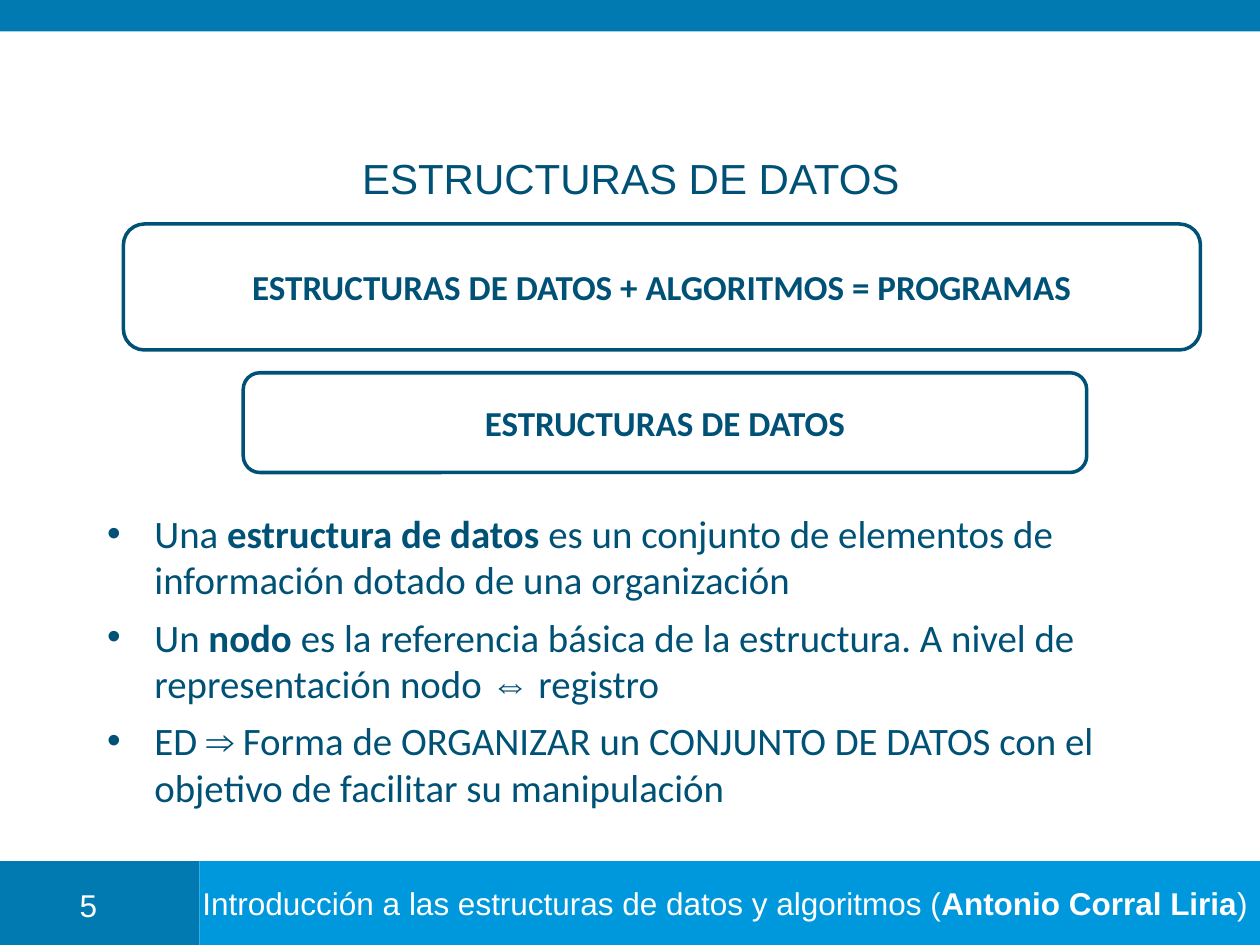
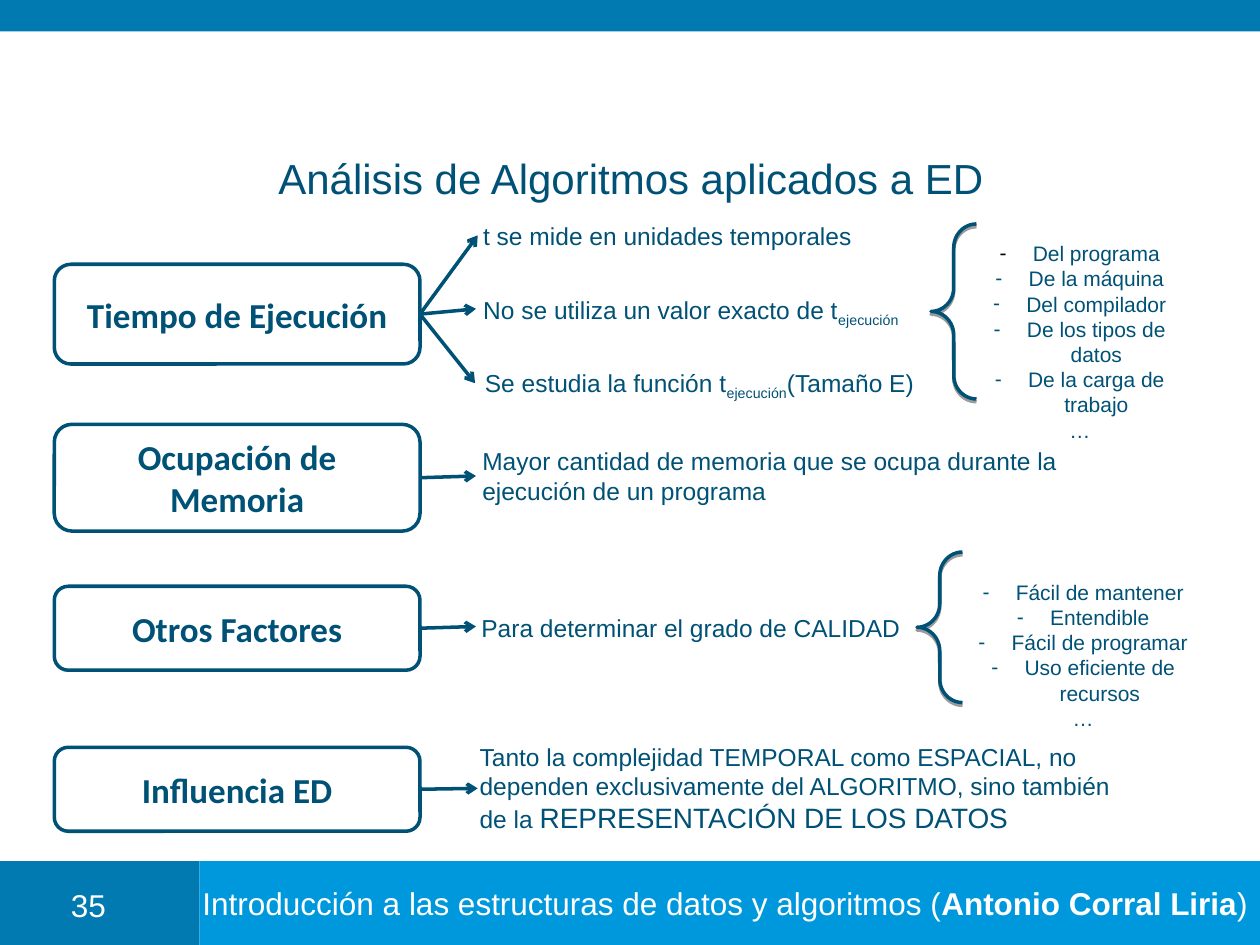
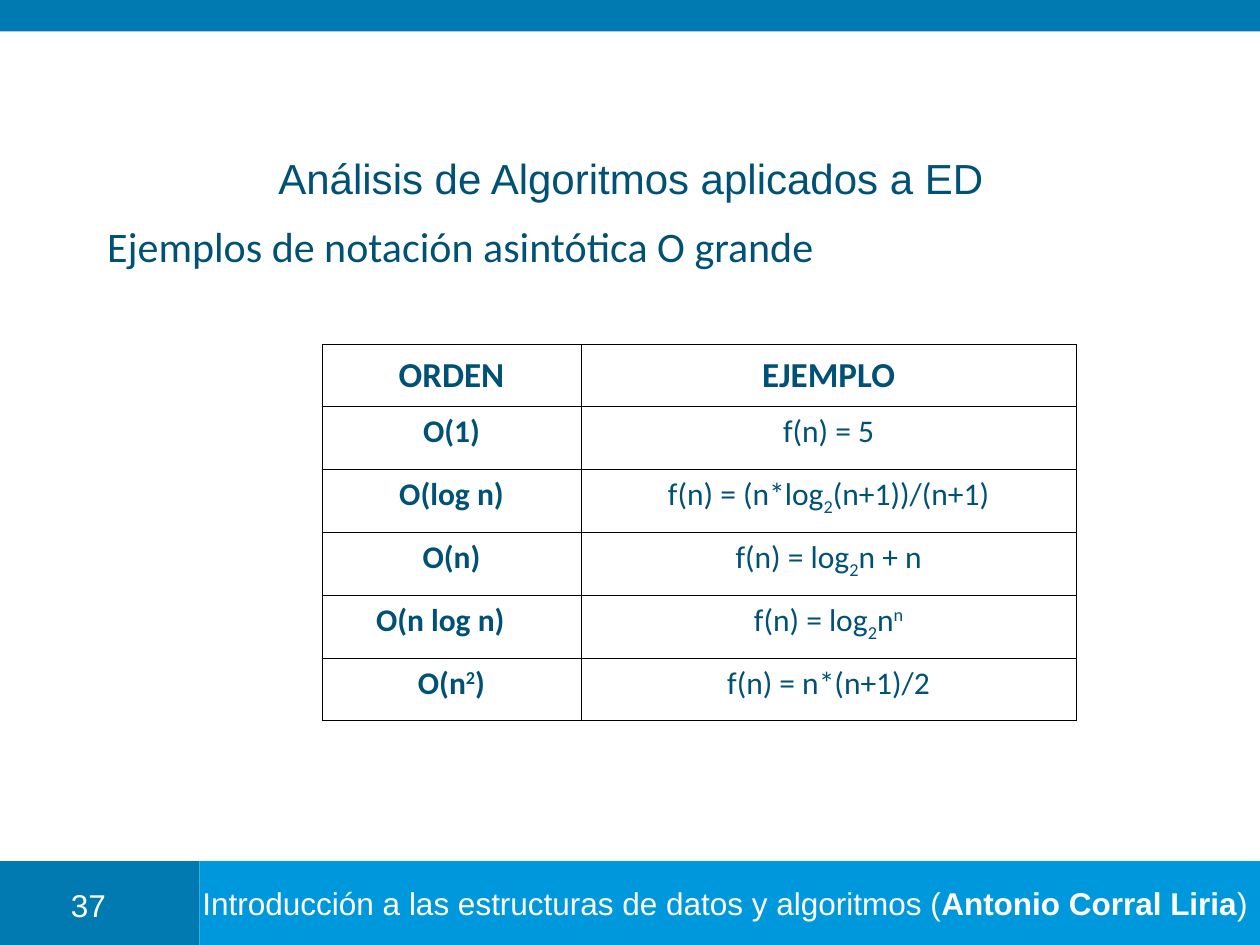
from dataclasses import dataclass

import lxml.etree
import pptx
import pptx.dml.color
import pptx.enum.shapes
import pptx.enum.text
import pptx.oxml.ns
import pptx.util

Pt = pptx.util.Pt
RGBColor = pptx.dml.color.RGBColor
Shape = pptx.enum.shapes.MSO_SHAPE
Align = pptx.enum.text.PP_ALIGN
Anchor = pptx.enum.text.MSO_ANCHOR
qn = pptx.oxml.ns.qn


@dataclass(frozen=True)
class Theme:
    ink: RGBColor = RGBColor(0x00, 0x51, 0x76)
    band: RGBColor = RGBColor(0x00, 0x7A, 0xB1)
    footer: RGBColor = RGBColor(0x00, 0x98, 0xDC)
    white: RGBColor = RGBColor(0xFF, 0xFF, 0xFF)
    black: RGBColor = RGBColor(0, 0, 0)
    heading_font: str = "Arial"
    body_font: str = "Calibri"
    title_size: float = 24
    list_size: float = 22.2
    box_size: float = 20
    footer_size: float = 18
    emphasis_size: float = 16
    note_size: float = 14
    factor_size: float = 12
    line_width: float = 2
    border_width: float = 0.45


THEME = Theme()
WIDTH, HEIGHT = 720, 540
TITLE_BOX = (60, 86.5, 601, 30)
BODY_LEFT, BODY_WIDTH = 54, 646.5
FOOTER_TOP = 492
BOLD = {"bold": True}
SUB = {"baseline": -25}
SUPER = {"baseline": 30}
SYMBOL = {"font": THEME.heading_font}


def add_element(parent, tag, **attributes):
    element = lxml.etree.SubElement(parent, qn(tag))
    for name, value in attributes.items():
        element.set(name, str(value))
    return element


def set_bullet(paragraph, symbol, indent, color):
    properties = paragraph._p.get_or_add_pPr()
    properties.set("marL", str(Pt(indent)))
    properties.set("indent", str(-Pt(indent)))
    if symbol:
        add_element(add_element(properties, "a:buClr"), "a:srgbClr", val=color)
        add_element(properties, "a:buFont", typeface=THEME.heading_font)
        add_element(properties, "a:buChar", char=symbol)
    else:
        add_element(properties, "a:buNone")


def add_run(paragraph, text, font, size, color, bold, baseline=0):
    run = paragraph.add_run()
    run.text = text
    run.font.name = font
    run.font.size = Pt(size)
    run.font.bold = bold
    run.font.color.rgb = color
    if baseline:
        run.font._element.set("baseline", str(baseline * 1000))


def write_text(frame, paragraphs, font=THEME.heading_font, size=THEME.note_size,
               color=THEME.ink, bold=False, align=Align.LEFT, anchor=Anchor.TOP,
               wrap=True, bullet=None, indent=0, gap=0, first_bullet_color=None):
    """Write paragraphs; each is a string or a list of strings and (string, format) runs."""
    frame.word_wrap = wrap
    frame.auto_size = pptx.enum.text.MSO_AUTO_SIZE.NONE
    frame.vertical_anchor = anchor
    base = {"font": font, "size": size, "color": color, "bold": bold}
    for index, runs in enumerate(paragraphs):
        paragraph = frame.add_paragraph() if index else frame.paragraphs[0]
        symbol = None if runs == "…" else bullet
        bullet_color = first_bullet_color if first_bullet_color and not index else color
        set_bullet(paragraph, symbol, indent if symbol else 0, bullet_color)
        paragraph.alignment = align
        paragraph.space_before = Pt(gap if index else 0)
        for run in [runs] if isinstance(runs, str) else runs:
            text, changes = (run, {}) if isinstance(run, str) else run
            add_run(paragraph, text, **{**base, **changes})


def place(shape, box):
    shape.left, shape.top, shape.width, shape.height = map(Pt, box)


def add_plain_shape(slide, kind, box, fill=None, line=None):
    shape = slide.shapes.add_shape(kind, *map(Pt, box))
    shape.shadow.inherit = False
    if fill is None:
        shape.fill.background()
    else:
        shape.fill.solid()
        shape.fill.fore_color.rgb = fill
    if line is None:
        shape.line.fill.background()
    else:
        shape.line.color.rgb = line
        shape.line.width = Pt(THEME.line_width)
    return shape


def add_text_box(slide, box, paragraphs, **text_format):
    text_box = slide.shapes.add_textbox(*map(Pt, box))
    write_text(text_box.text_frame, paragraphs, **text_format)


def add_round_box(slide, box, text):
    shape = add_plain_shape(slide, Shape.ROUNDED_RECTANGLE, box, line=THEME.ink)
    write_text(shape.text_frame, [text], font=THEME.body_font, size=THEME.box_size,
               bold=True, align=Align.CENTER, anchor=Anchor.MIDDLE)
    return shape


def add_arrow(slide, box_shape, end):
    arrow = slide.shapes.add_connector(
        pptx.enum.shapes.MSO_CONNECTOR.STRAIGHT, 0, 0, *map(Pt, end))
    arrow.begin_connect(box_shape, 3)
    arrow.line.color.rgb = THEME.ink
    arrow.line.width = Pt(THEME.line_width)
    add_element(arrow.line._get_or_add_ln(), "a:tailEnd", type="arrow")
    add_element(arrow._element.spPr, "a:effectLst")


def add_brace(slide, box):
    brace = add_plain_shape(slide, Shape.LEFT_BRACE, box, line=THEME.ink)
    brace.adjustments[0] = 0.52
    effects = brace._element.spPr.find(qn("a:effectLst"))
    shadow = add_element(effects, "a:outerShdw", blurRad=0, dist=Pt(1.6),
                         dir=5400000, rotWithShape=0)
    add_element(add_element(shadow, "a:srgbClr", val=THEME.black), "a:alpha", val=38000)


def add_factor_list(slide, brace_box, list_box, factors, **text_format):
    add_brace(slide, brace_box)
    add_text_box(slide, list_box, factors + ["…"], size=THEME.factor_size,
                 align=Align.CENTER, bullet="-", indent=19, **text_format)


def move_bands_to_master(presentation, slide):
    """Draw the shared bands with a slide's shape tools, then hand them to the master."""
    height = HEIGHT - FOOTER_TOP
    footer = add_plain_shape(slide, Shape.RECTANGLE, (114, FOOTER_TOP, 606, height),
                             THEME.footer)
    write_text(footer.text_frame,
               [["Introducción a las estructuras de datos y algoritmos (",
                 ("Antonio Corral Liria", BOLD), ")"]],
               size=THEME.footer_size, color=THEME.white, align=Align.RIGHT,
               anchor=Anchor.MIDDLE, wrap=False)
    bands = [
        add_plain_shape(slide, Shape.RECTANGLE, (0, FOOTER_TOP, 114, height), THEME.band),
        footer,
        add_plain_shape(slide, Shape.RECTANGLE, (0, 0, WIDTH, 18), THEME.band),
    ]
    for number, band in enumerate(bands, start=101):
        band._element.nvSpPr.cNvPr.set("id", str(number))
        presentation.slide_master.shapes.element.append(band.element)


def start_slide(presentation, layout_name, title, number):
    layout = presentation.slide_layouts.get_by_name(layout_name)
    slide = presentation.slides.add_slide(layout)
    place(slide.shapes.title, TITLE_BOX)
    write_text(slide.shapes.title.text_frame, [title], size=THEME.title_size,
               align=Align.CENTER, anchor=Anchor.MIDDLE)
    add_text_box(slide, (25, FOOTER_TOP + 10.5, 51, 23), [str(number)],
                 size=THEME.footer_size, color=THEME.white, align=Align.CENTER)
    return slide


def fill_body(slide, top, height, paragraphs, **text_format):
    body = slide.placeholders[1]
    place(body, (BODY_LEFT, top, BODY_WIDTH, height))
    write_text(body.text_frame, paragraphs, font=THEME.body_font, **text_format)


def build_definition_slide(presentation):
    slide = start_slide(presentation, "Title and Content", "ESTRUCTURAS DE DATOS", 5)
    fill_body(slide, 287.5, 187, [
        ["Una ", ("estructura de datos", BOLD),
         " es un conjunto de elementos de información dotado de una organización"],
        ["Un ", ("nodo", BOLD),
         " es la referencia básica de la estructura. A nivel de representación nodo ",
         ("⇔", SYMBOL), " registro"],
        ["ED ", ("⇒", SYMBOL), " Forma de ORGANIZAR un CONJUNTO DE DATOS con el "
         "objetivo de facilitar su manipulación"],
    ], size=THEME.list_size, bullet="•", indent=27, gap=6)
    add_round_box(slide, (70.5, 128, 615.5, 72),
                  "ESTRUCTURAS DE DATOS + ALGORITMOS = PROGRAMAS")
    add_round_box(slide, (139, 213, 482, 57), "ESTRUCTURAS DE DATOS")
    return slide


def add_criterion(slide, top, height, name, notes):
    """Add a named box and an arrow to each note: (arrow end, text box, paragraphs)."""
    criterion = add_round_box(slide, (31, top, 209, height), name)
    for arrow_end, box, paragraphs in notes:
        add_arrow(slide, criterion, arrow_end)
        add_text_box(slide, box, paragraphs)


def build_criteria_slide(presentation, title):
    slide = start_slide(presentation, "Title Only", title, 35)
    execution = ("ejecución", SUB)
    add_criterion(slide, 151, 57, "Tiempo de Ejecución", [
        ((273, 134.5), (269, 122.5, 238, 24.5), ["t se mide en unidades temporales"]),
        ((272, 176.5), (269, 165, 264, 26.5),
         [["No se utiliza un valor exacto de t", execution]]),
        ((271.5, 219), (270, 206.5, 269, 26.5),
         [["Se estudia la función t", execution, "(Tamaño E)"]]),
    ])
    add_criterion(slide, 242.5, 61, "Ocupación de Memoria", [
        ((272, 272), (268.5, 251.5, 367, 41),
         ["Mayor cantidad de memoria que se ocupa durante la",
          "ejecución de un programa"]),
    ])
    add_criterion(slide, 335, 48, "Otros Factores", [
        ((272, 358), (268, 346.5, 264, 24.5), ["Para determinar el grado de CALIDAD"]),
    ])
    add_criterion(slide, 427, 48, "Influencia ED", [
        ((273, 450.5), (267, 420.5, 391, 60.5),
         ["Tanto la complejidad TEMPORAL como ESPACIAL, no",
          "dependen exclusivamente del ALGORITMO, sino también",
          ["de la ", ("REPRESENTACIÓN DE LOS DATOS", {"size": THEME.emphasis_size})]]),
    ])
    add_factor_list(slide, (532, 128, 26, 100), (547, 134, 140, 118), [
        "Del programa", "De la máquina", "Del compilador",
        "De los tipos de datos", "De la carga de trabajo",
    ], first_bullet_color=THEME.black)
    add_factor_list(slide, (524, 315.5, 26, 86), (539, 327.5, 160, 92), [
        "Fácil de mantener", "Entendible", "Fácil de programar",
        "Uso eficiente de recursos",
    ])


def set_cell_borders(cell):
    properties = cell._tc.get_or_add_tcPr()
    for position, side in enumerate(("a:lnL", "a:lnR", "a:lnT", "a:lnB")):
        line = properties.makeelement(qn(side), {"w": str(Pt(THEME.border_width))})
        add_element(add_element(line, "a:solidFill"), "a:srgbClr", val=THEME.black)
        properties.insert(position, line)


def add_order_table(slide, left, top, column_widths, row_height, rows):
    table = slide.shapes.add_table(
        len(rows), len(column_widths), Pt(left), Pt(top),
        Pt(sum(column_widths)), Pt(row_height * len(rows))).table
    table.first_row = table.horz_banding = False
    for column, width in zip(table.columns, column_widths):
        column.width = Pt(width)
    for row_index, row in enumerate(rows):
        header = row_index == 0
        for column_index, content in enumerate(row):
            cell = table.cell(row_index, column_index)
            cell.fill.background()
            set_cell_borders(cell)
            write_text(cell.text_frame, [content], font=THEME.body_font,
                       size=THEME.box_size if header else THEME.footer_size,
                       bold=header or column_index == 0, align=Align.CENTER)
            cell.vertical_anchor = Anchor.MIDDLE if header else Anchor.TOP
    return table


def build_notation_slide(presentation, title):
    slide = start_slide(presentation, "Title and Content", title, 37)
    fill_body(slide, 122.5, 363, ["Ejemplos de notación asintótica O grande"],
              size=THEME.title_size)
    table = add_order_table(slide, 184, 196.5, (148, 283), 35.9, [
        ("ORDEN", "EJEMPLO"),
        ("O(1)", "f(n) = 5"),
        ("O(log n)", ["f(n) = (n*log", ("2", SUB), "(n+1))/(n+1)"]),
        ("O(n)", ["f(n) = log", ("2", SUB), "n + n"]),
        ("O(n log n)", ["f(n) = log", ("2", SUB), "n", ("n", SUPER)]),
        (["O(n", ("2", SUPER), ")"], "f(n) = n*(n+1)/2"),
    ])
    table.cell(4, 0).margin_right = Pt(20)


def main():
    presentation = pptx.Presentation()
    presentation.slide_width, presentation.slide_height = Pt(WIDTH), Pt(HEIGHT)
    first_slide = build_definition_slide(presentation)
    move_bands_to_master(presentation, first_slide)
    analysis_title = "Análisis de Algoritmos aplicados a ED"
    build_criteria_slide(presentation, analysis_title)
    build_notation_slide(presentation, analysis_title)
    presentation.save("out.pptx")


if __name__ == "__main__":
    main()
